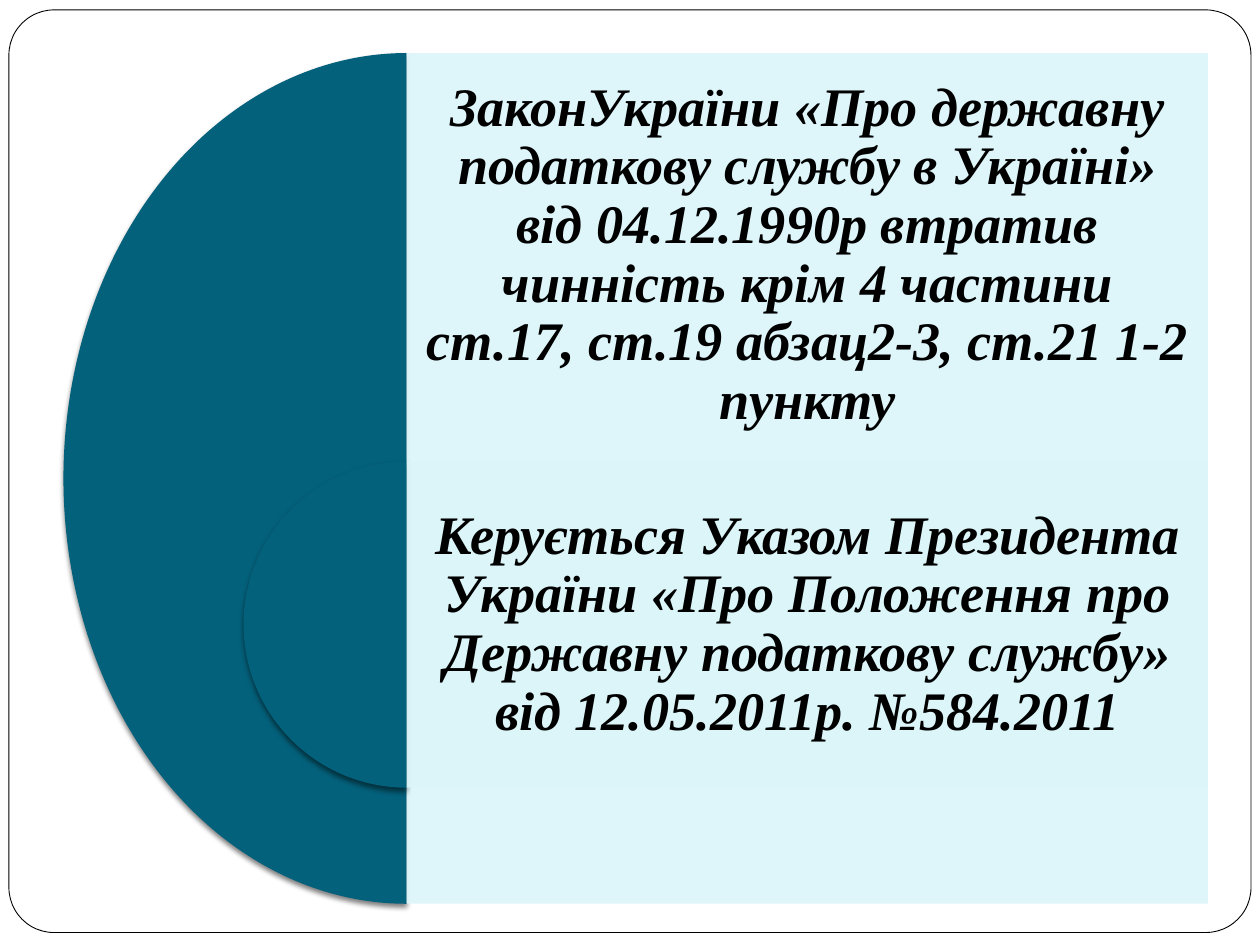
import dataclasses

import pptx
import pptx.dml.color
import pptx.enum.shapes
import pptx.enum.text
import pptx.oxml
import pptx.util
from pptx.util import Cm

SHAPES = pptx.enum.shapes.MSO_SHAPE
DRAWING = 'xmlns:a="http://schemas.openxmlformats.org/drawingml/2006/main"'


@dataclasses.dataclass(frozen=True)
class Theme:
    paper: str = "FFFFFF"
    ink: str = "000000"
    accent: str = "04617B"
    panel: str = "DBF5F9"
    font: str = "Times New Roman"
    body_size: int = 31


def format_text(frame, text, *, font, size, color, bold=False, italic=False,
                spacing=1.0, inset=0.33):
    frame.word_wrap = True
    frame.vertical_anchor = pptx.enum.text.MSO_ANCHOR.MIDDLE
    frame.margin_left = frame.margin_right = Cm(inset)
    frame.margin_top = frame.margin_bottom = Cm(inset)
    para = frame.paragraphs[0]
    para.alignment = pptx.enum.text.PP_ALIGN.CENTER
    para.line_spacing = spacing
    span = para.add_run()
    span.text = text
    span.font.name = font
    span.font.size = pptx.util.Pt(size)
    span.font.bold = bold
    span.font.italic = italic
    span.font.color.rgb = pptx.dml.color.RGBColor.from_string(color)


class Painter:
    def __init__(self, page, theme):
        self.page = page
        self.theme = theme

    def shape(self, kind, left, top, width, height, fill):
        shape = self.page.shapes.add_shape(kind, Cm(left), Cm(top), Cm(width), Cm(height))
        shape.shadow.inherit = False
        shape.fill.solid()
        shape.fill.fore_color.rgb = pptx.dml.color.RGBColor.from_string(fill)
        shape.line.fill.background()
        return shape

    def frame(self, left, top, width, height):
        frame = self.shape(SHAPES.ROUNDED_RECTANGLE, left, top, width, height, self.theme.paper)
        frame.adjustments[0] = 0.049
        frame.line.color.rgb = pptx.dml.color.RGBColor.from_string(self.theme.ink)
        frame.line.width = pptx.util.Pt(0.5)

    def half_disc(self, axis, top, width, height):
        disc = self.shape(SHAPES.PIE, axis - width / 2, top, width, height, self.theme.accent)
        disc.adjustments[0] = 54
        disc.adjustments[1] = 162
        effects = disc._element.spPr.find(pptx.oxml.ns.qn("a:effectLst"))
        effects.append(pptx.oxml.parse_xml(
            f'<a:outerShdw {DRAWING} blurRad="38100" dist="25400" dir="5400000" rotWithShape="0">'
            f'<a:srgbClr val="{self.theme.ink}"><a:alpha val="50000"/></a:srgbClr></a:outerShdw>'))

    def panel(self, left, top, width, height):
        panel = self.shape(SHAPES.RECTANGLE, left, top, width, height, self.theme.panel)
        color = panel._element.spPr.find(".//" + pptx.oxml.ns.qn("a:srgbClr"))
        color.append(pptx.oxml.parse_xml(f'<a:alpha {DRAWING} val="90000"/>'))

    def text(self, text, left, top, width, height):
        box = self.page.shapes.add_textbox(Cm(left), Cm(top), Cm(width), Cm(height))
        format_text(box.text_frame, text, font=self.theme.font, size=self.theme.body_size,
                    color=self.theme.ink, bold=True, italic=True, spacing=0.9)


AXIS = 8.2
PANEL_WIDTH = 16.15
SECTIONS = [
    (1.07, 13.84, 17.15, 8.15,
     "ЗаконУкраїни «Про державну податкову службу в Україні» від 04.12.1990р "
     "втратив чинність крім 4 частини ст.17, ст.19 абзац2-3, ст.21 1-2 пункту"),
    (9.3, 6.58, 6.58, 6.58,
     "Керується Указом Президента України «Про Положення про Державну "
     "податкову службу» від 12.05.2011р. №584.2011"),
]

deck = pptx.Presentation()
deck.slide_width = Cm(25.4)
deck.slide_height = Cm(19.05)
painter = Painter(deck.slides.add_slide(deck.slide_layouts[6]), Theme())

painter.frame(0.18, 0.2, 25.04, 18.6)
for top, disc_width, height, text_height, text in SECTIONS:
    painter.half_disc(AXIS, top, disc_width, height)
    painter.panel(AXIS, top, PANEL_WIDTH, height)
    painter.text(text, AXIS, top, PANEL_WIDTH, text_height)

deck.save("out.pptx")
